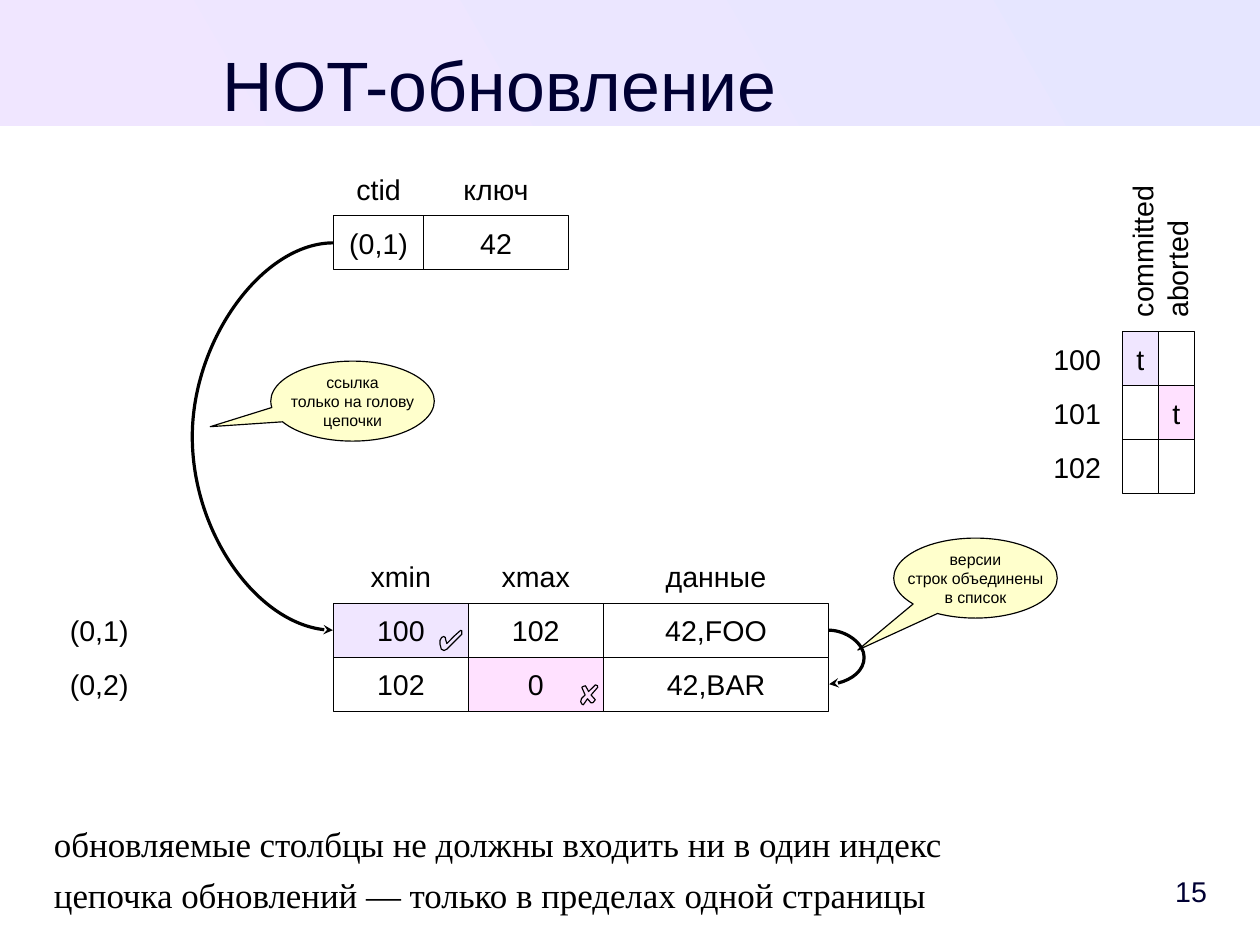
from dataclasses import dataclass
from itertools import accumulate

from lxml import etree
from pptx import Presentation
from pptx.dml.color import RGBColor
from pptx.enum.shapes import MSO_CONNECTOR, MSO_SHAPE
from pptx.enum.text import MSO_ANCHOR, PP_ALIGN
from pptx.oxml.ns import qn
from pptx.util import Pt

RECT, CALLOUT = MSO_SHAPE.RECTANGLE, MSO_SHAPE.OVAL_CALLOUT
CURVE = MSO_CONNECTOR.CURVE
TOP, MIDDLE = MSO_ANCHOR.TOP, MSO_ANCHOR.MIDDLE
LEFT, CENTER, RIGHT = PP_ALIGN.LEFT, PP_ALIGN.CENTER, PP_ALIGN.RIGHT

BLACK = RGBColor(0x00, 0x00, 0x00)
WHITE = RGBColor(0xFF, 0xFF, 0xFF)
NAVY = RGBColor(0x00, 0x00, 0x33)
BLUE = RGBColor(0xE6, 0xE6, 0xFF)
LILAC = RGBColor(0xF0, 0xE6, 0xFF)
PINK = RGBColor(0xFF, 0xE1, 0xFF)
YELLOW = RGBColor(0xFF, 0xFF, 0xCC)

ROW = 34        # height of every table row
LABEL = 57      # width of a row label
TABLE_X = 210   # left edge of the index and of the table
INDEX_Y, PAGE_Y, STATUS_Y = 136, 380, 209
STATUS_X, STATUS_WIDTH = 707, 22.7
HAIR = 0.3      # span of a curve between two points on one vertical


@dataclass
class Box:
    text: str
    x: float
    y: float
    width: float
    height: float = ROW
    fill: RGBColor = WHITE
    border: bool = False
    size: float = 18
    align: PP_ALIGN = CENTER
    rotation: float = 0
    pointer: tuple[float, float] | None = None


@dataclass
class Note:
    lines: list[str]
    x: float
    y: float
    width: float
    height: float
    size: float
    font: str = "Arial"
    color: RGBColor = BLACK
    align: PP_ALIGN = LEFT
    anchor: MSO_ANCHOR = TOP
    inset: float = 0
    space_after: float = 0


@dataclass
class Arrow:
    x: float
    start_y: float
    end_y: float
    bulge: float  # negative bends to the left


def apply(target, values: dict) -> None:
    for name, value in values.items():
        setattr(target, name, value)


def write(frame, lines: list[str], size: float, align: PP_ALIGN,
          font: str = "Arial", color: RGBColor = BLACK, space_after: float = 0) -> None:
    for number, line in enumerate(lines):
        para = frame.add_paragraph() if number else frame.paragraphs[0]
        apply(para, {"alignment": align, "space_after": Pt(space_after)})
        span = para.add_run()
        span.text = line
        apply(span.font, {"name": font, "size": Pt(size)})
        span.font.color.rgb = color


def paint(shape, fill: RGBColor, border: bool) -> None:
    shape.shadow.inherit = False
    shape.fill.solid()
    shape.fill.fore_color.rgb = fill
    if border:
        shape.line.color.rgb = BLACK
        shape.line.width = Pt(0)
    else:
        shape.line.fill.background()


def draw_box(page, box: Box) -> None:
    kind = CALLOUT if box.pointer else RECT
    shape = page.shapes.add_shape(kind, Pt(box.x), Pt(box.y), Pt(box.width), Pt(box.height))
    paint(shape, box.fill, box.border)
    shape.rotation = box.rotation
    for number, value in enumerate(box.pointer or ()):
        shape.adjustments[number] = value
    if box.text:
        apply(shape.text_frame, {"word_wrap": False, "vertical_anchor": MIDDLE})
        write(shape.text_frame, box.text.split("\n"), box.size, box.align)


def draw_note(page, note: Note) -> None:
    shape = page.shapes.add_textbox(Pt(note.x), Pt(note.y), Pt(note.width), Pt(note.height))
    apply(shape.text_frame, {
        "word_wrap": True, "vertical_anchor": note.anchor, "margin_left": 0,
        "margin_right": 0, "margin_top": Pt(note.inset), "margin_bottom": 0})
    write(shape.text_frame, note.lines, note.size, note.align,
          note.font, note.color, note.space_after)


def draw_arrow(page, arrow: Arrow) -> None:
    side = HAIR if arrow.bulge > 0 else -HAIR
    curve = page.shapes.add_connector(
        CURVE, Pt(arrow.x), Pt(arrow.start_y), Pt(arrow.x + side), Pt(arrow.end_y))
    curve.line.color.rgb = BLACK
    curve.line.width = Pt(0)
    properties = curve.line._get_or_add_ln()
    etree.SubElement(properties, qn("a:tailEnd"), type="stealth")
    etree.SubElement(properties.getparent(), qn("a:effectLst"))
    guides = properties.getparent().find(qn("a:prstGeom")).get_or_add_avLst()
    bend = round(arrow.bulge / side * 100000)
    etree.SubElement(guides, qn("a:gd"), name="adj1", fmla=f"val {bend}")


def draw_mark(page, points: list[tuple[float, float]], fill: RGBColor) -> None:
    corners = [(Pt(x), Pt(y)) for x, y in points]
    builder = page.shapes.build_freeform(*corners[0])
    builder.add_line_segments(corners[1:], close=True)
    paint(builder.convert_to_shape(), fill, True)


def grid(x: float, y: float, widths: list[float], rows: list[list[str]],
         fills: dict[tuple[int, int], RGBColor]) -> list[Box]:
    lefts = list(accumulate(widths[:-1], initial=x))
    return [Box(text, lefts[column], y + row * ROW, widths[column],
                fill=fills.get((row, column), WHITE), border=True)
            for row, texts in enumerate(rows) for column, text in enumerate(texts)]


def headers(x: float, y: float, widths: list[float], texts: list[str], trim: float) -> list[Box]:
    lefts = accumulate(widths[:-1], initial=x)
    return [Box(text, left + trim / 2, y, width - trim)
            for text, left, width in zip(texts, lefts, widths)]


def row_labels(x: float, y: float, texts: list[str]) -> list[Box]:
    return [Box(text, x, y + row * ROW, LABEL) for row, text in enumerate(texts)]


INDEX_WIDTHS, PAGE_WIDTHS = [57, 91], [85, 85, 142]
BOXES = [
    # Index entry
    *headers(TABLE_X, INDEX_Y - ROW, INDEX_WIDTHS, ["ctid", "ключ"], 0),
    *grid(TABLE_X, INDEX_Y, INDEX_WIDTHS, [["(0,1)", "42"]], {}),
    # Row versions
    *headers(TABLE_X, PAGE_Y - ROW, PAGE_WIDTHS, ["xmin", "xmax", "данные"], 28),
    *row_labels(34, PAGE_Y, ["(0,1)", "(0,2)"]),
    *grid(TABLE_X, PAGE_Y, PAGE_WIDTHS,
          [["100", "102", "42,FOO"], ["102", "0", "42,BAR"]], {(0, 0): LILAC, (1, 1): PINK}),
    # Transaction status
    Box("committed", 672.5, 147.6, 93.6, 25, align=LEFT, rotation=270),
    Box("aborted", 694, 149, 94.3, 22.3, align=LEFT, rotation=270),
    *row_labels(650, STATUS_Y, ["100", "101", "102"]),
    *grid(STATUS_X, STATUS_Y, [STATUS_WIDTH] * 2,
          [["t", ""], ["", "t"], ["", ""]], {(0, 0): LILAC, (1, 1): PINK}),
    # Callouts
    Box("ссылка\nтолько на голову\nцепочки", 170.6, 227.5, 103, 50.4, YELLOW, True, 10,
        pointer=(-0.87, 0.32)),
    Box("версии\nстрок объединены\nв список", 563, 339, 103, 50.4, YELLOW, True, 10,
        pointer=(-0.72, 0.9)),
]
ARROWS = [Arrow(TABLE_X, INDEX_Y + ROW / 2, PAGE_Y + ROW / 2, -85.5),
          Arrow(TABLE_X + sum(PAGE_WIDTHS), PAGE_Y + ROW / 2, PAGE_Y + ROW * 1.5, 21.5)]
NOTES = [
    Note(["HOT-обновление"], 34, 21, 561.6, 50, 44, color=NAVY, align=CENTER, inset=5),
    Note(["обновляемые столбцы не должны входить ни в один индекс",
          "цепочка обновлений — только в пределах одной страницы"],
         34, 518, 726, 62, 22, "Times New Roman", space_after=5.7),
    Note(["15"], 697.7, 544.3, 62.6, ROW, 18, color=NAVY, align=RIGHT, anchor=MIDDLE),
]
CHECK = [(290.9, 397.4), (290.2, 397.1), (285.8, 401), (283.7, 403.2), (281.5, 405.4),
         (280.8, 403.2), (280.5, 401.6), (279.5, 401), (278.2, 401.6), (277.2, 403.4),
         (277.2, 406), (278, 409), (279.7, 409.8), (281.5, 409), (288, 402.5), (290.9, 399.6)]
CROSS = [(376.4, 432), (375.1, 431.4), (370.8, 435.6), (368.8, 432), (367.4, 432.4),
         (366.5, 433), (368.6, 437.8), (366.3, 440), (365.8, 442), (366.6, 443.6),
         (367.4, 444), (370.1, 440.2), (372.3, 442.8), (373.6, 442.6), (375, 440.8),
         (372.3, 437.8), (376.5, 433)]


def main() -> None:
    deck = Presentation()
    apply(deck, {"slide_width": Pt(793.7), "slide_height": Pt(595.3)})
    page = deck.slides.add_slide(deck.slide_layouts[6])

    # Title band
    band = page.shapes.add_shape(RECT, 0, 0, deck.slide_width, Pt(79.4))
    paint(band, BLUE, False)
    band.fill.gradient()
    band.fill.gradient_angle = 210
    for stop, color in zip(band.fill.gradient_stops, (BLUE, LILAC)):
        stop.color.rgb = color

    # Diagram and text
    for box in BOXES:
        draw_box(page, box)
    draw_mark(page, CHECK, LILAC)
    draw_mark(page, CROSS, PINK)
    for arrow in ARROWS:
        draw_arrow(page, arrow)
    for note in NOTES:
        draw_note(page, note)
    deck.save("out.pptx")


if __name__ == "__main__":
    main()
